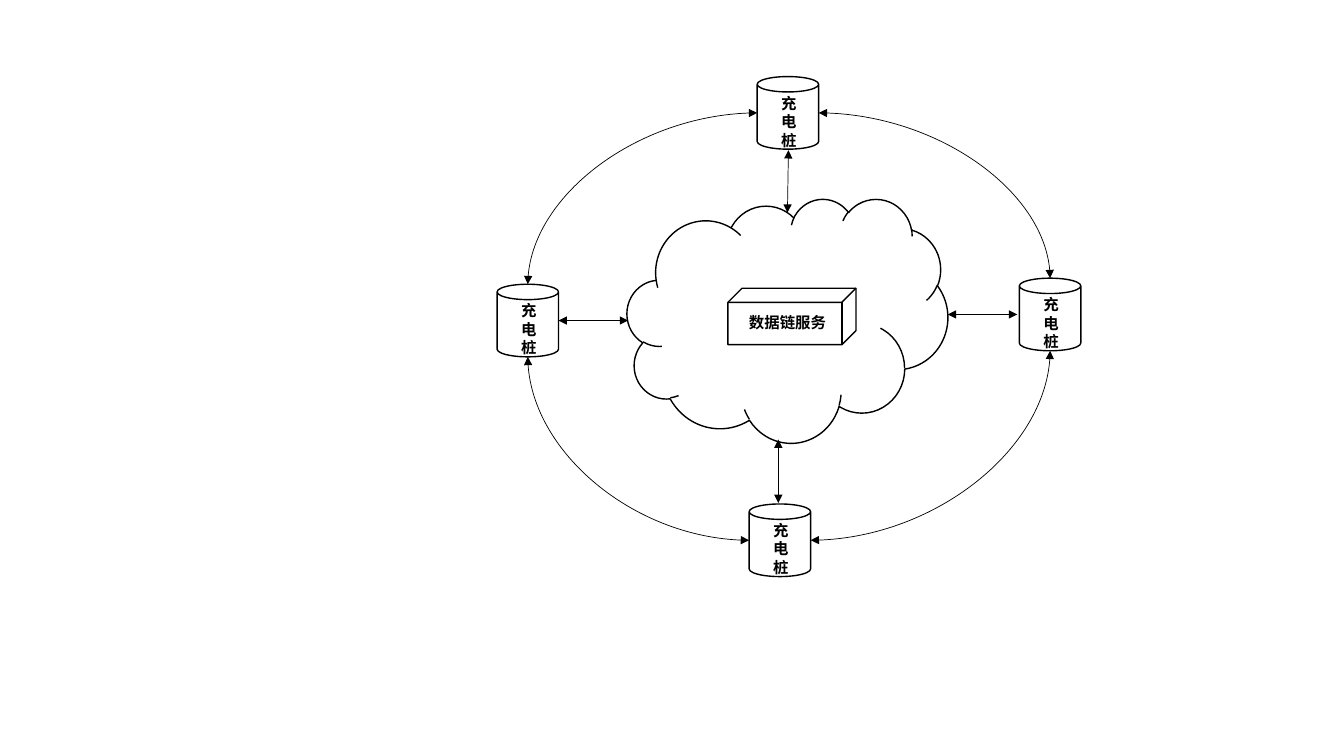
from pptx import Presentation
from pptx.dml.color import RGBColor
from pptx.enum.shapes import MSO_CONNECTOR, MSO_SHAPE
from pptx.enum.text import MSO_AUTO_SIZE
from pptx.oxml.ns import qn
from pptx.util import Inches, Pt
from lxml import etree

# Content
COLORS = {"ink": "000000"}
FONT = "Calibri"
PILE_TEXT = "充\n电\n桩"
SERVICE_TEXT = "数据链服务"
PILE_W, PILE_H = 0.61, 0.72
PILES = {  # left, top
    "left": (4.93, 2.82),
    "top": (7.51, 0.76),
    "right": (10.11, 2.76),
    "bottom": (7.43, 5.0),
}
CLOUD = (6.22, 1.97, 3.18, 2.42)
SERVICE = (7.22, 2.86, 1.27, 0.56)
SERVICE_LABEL = (7.33, 3.06, 0.97, 0.29)
LINKS = [  # pile to cloud
    ((7.82, 1.49), (7.81, 2.11)),
    ((7.72, 4.36), (7.72, 4.99)),
    ((5.54, 3.18), (6.23, 3.18)),
    ((9.4, 3.12), (10.09, 3.12)),
]
RING = [("top", "right"), ("top", "left"), ("bottom", "left"), ("bottom", "right")]

prs = Presentation()
prs.slide_width, prs.slide_height = Inches(13.33), Inches(7.5)
s = prs.slides.add_slide(prs.slide_layouts[6])


def add_outline(kind, box):
    sp = s.shapes.add_shape(kind, *map(Inches, box))
    sp.shadow.inherit = False
    sp.fill.background()
    sp.line.color.rgb = RGBColor.from_string(COLORS["ink"])
    sp.line.width = Pt(1)
    return sp


def add_text(text, box, size=11, bold=True, color="ink"):
    tf = s.shapes.add_textbox(*map(Inches, box)).text_frame
    tf.word_wrap = False
    tf.auto_size = MSO_AUTO_SIZE.SHAPE_TO_FIT_TEXT
    tf.text = text
    for p in tf.paragraphs:
        for r in p.runs:
            r.font.name, r.font.size, r.font.bold = FONT, Pt(size), bold
            r.font.color.rgb = RGBColor.from_string(COLORS[color])


def add_arrow(start, end, kind=MSO_CONNECTOR.STRAIGHT):
    c = s.shapes.add_connector(kind, *map(Inches, (*start, *end)))
    c.line.color.rgb = RGBColor.from_string(COLORS["ink"])
    c.line.width = Pt(0.5)
    ln = c.line._get_or_add_ln()
    for tag in ("a:headEnd", "a:tailEnd"):
        etree.SubElement(ln, qn(tag), type="triangle")
    spPr = c._element.spPr
    etree.SubElement(spPr, qn("a:effectLst"))
    if kind == MSO_CONNECTOR.CURVE:  # quarter arc: leaves sideways, arrives vertically
        spPr.find(qn("a:prstGeom")).set("prst", "curvedConnector2")


# Charging piles
for x, y in PILES.values():
    add_outline(MSO_SHAPE.CAN, (x, y, PILE_W, PILE_H))
    add_text(PILE_TEXT, (x + 0.14, y + 0.12, 0.36, 0.66))

# Cloud with the data link service
add_outline(MSO_SHAPE.CLOUD, CLOUD)
add_outline(MSO_SHAPE.CUBE, SERVICE)
add_text(SERVICE_TEXT, SERVICE_LABEL)

# Straight links to the cloud
for start, end in LINKS:
    add_arrow(start, end)

# Ring of arcs between neighbouring piles
for pole, side in RING:
    (px, py), (sx, sy) = PILES[pole], PILES[side]
    start = (px + (PILE_W if side == "right" else 0), py + PILE_H / 2)
    end = (sx + PILE_W / 2, sy + (PILE_H if pole == "bottom" else 0))
    add_arrow(start, end, MSO_CONNECTOR.CURVE)

prs.save("out.pptx")
